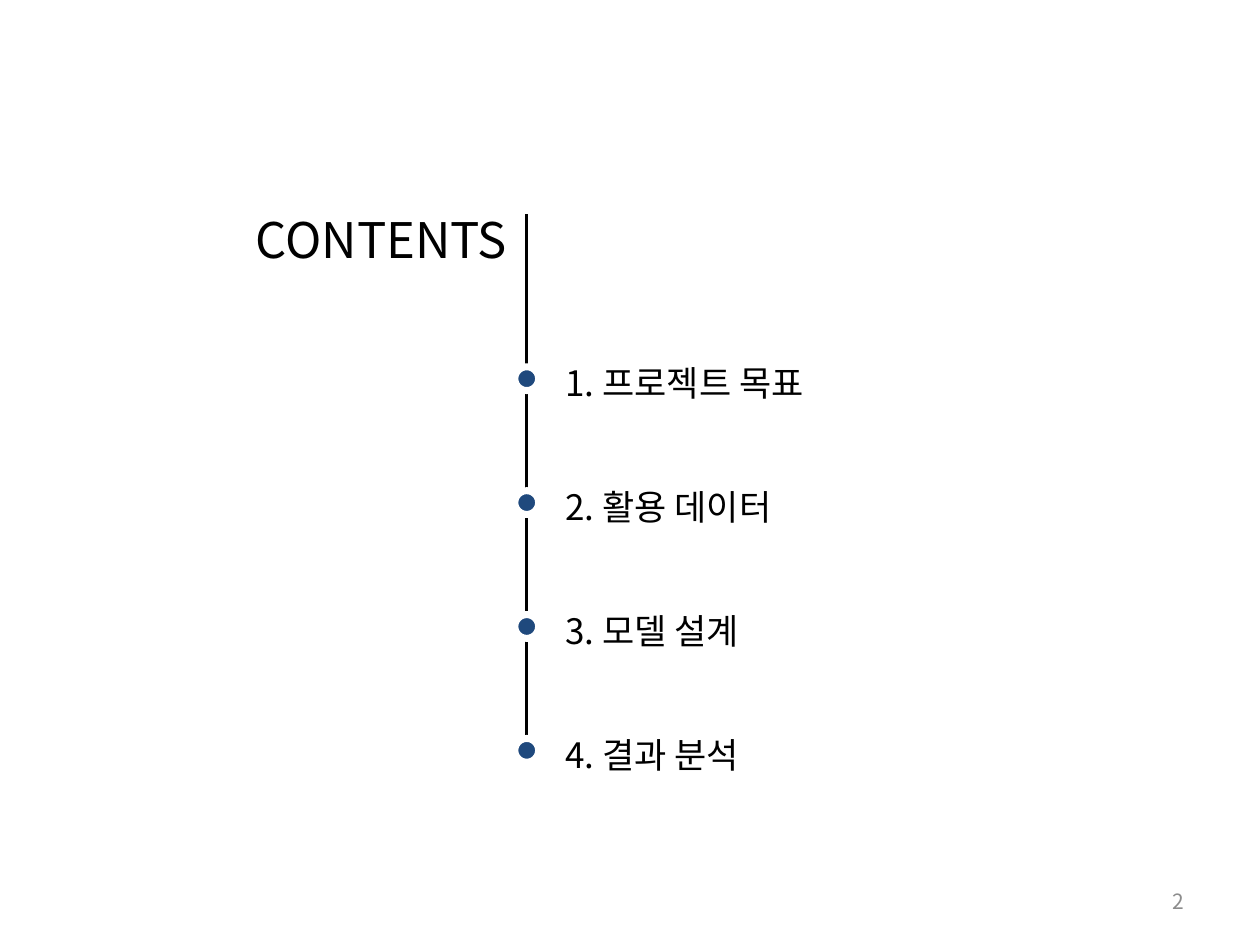
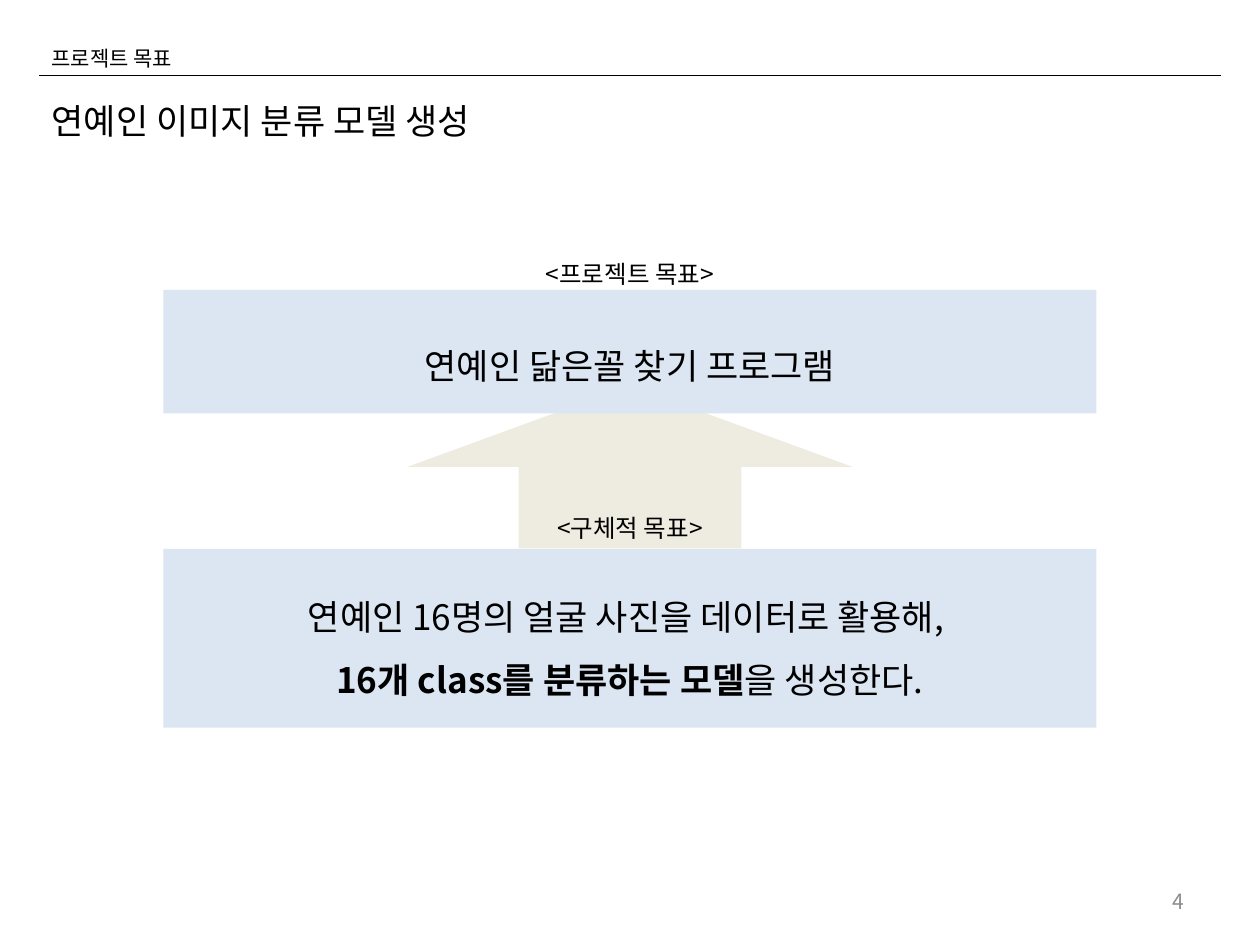
from lxml.etree import SubElement
from pptx import Presentation
from pptx.dml.color import RGBColor
from pptx.enum.shapes import MSO_CONNECTOR, MSO_SHAPE
from pptx.enum.text import MSO_ANCHOR, MSO_AUTO_SIZE, PP_ALIGN
from pptx.oxml.ns import qn
from pptx.util import Pt

FONT = "Noto Sans CJK KR"
BLACK = RGBColor(0x00, 0x00, 0x00)
WHITE = RGBColor(0xFF, 0xFF, 0xFF)
GRAY = RGBColor(0x8C, 0x8C, 0x8C)
NAVY = RGBColor(0x1F, 0x49, 0x7D)
PALE_BLUE = RGBColor(0xDC, 0xE6, 0xF2)
BEIGE = RGBColor(0xEE, 0xEC, 0xE1)


def write(shape, box, lines, size, spacing=1.14, align=PP_ALIGN.LEFT,
          color=BLACK, anchor=MSO_ANCHOR.TOP):
    """Place a text shape; each line is a list of (text, bold) runs."""
    for name, value in zip(("left", "top", "width", "height"), box):
        setattr(shape, name, Pt(value))
    frame = shape.text_frame
    frame_format = {"word_wrap": True, "auto_size": MSO_AUTO_SIZE.NONE,
                    "vertical_anchor": anchor}
    for name, value in frame_format.items():
        setattr(frame, name, value)
    for index, line in enumerate(lines):
        paragraph = frame.add_paragraph() if index else frame.paragraphs[0]
        paragraph.alignment = align
        paragraph.line_spacing = spacing
        for text, bold in line:
            run = paragraph.add_run()
            run.text = text
            for name, value in {"name": FONT, "size": Pt(size), "bold": bold}.items():
                setattr(run.font, name, value)
            run.font.color.rgb = color
            east_asian = SubElement(run.font._element, qn("a:ea"))
            east_asian.set("typeface", FONT)


def draw(slide, kind, box, fill):
    shape = slide.shapes.add_shape(kind, *map(Pt, box))
    shape.shadow.inherit = False
    shape.fill.solid()
    shape.fill.fore_color.rgb = fill
    shape.line.fill.background()
    return shape


presentation = Presentation()
presentation.slide_width = Pt(720)
presentation.slide_height = Pt(540)
title_only = presentation.slide_layouts[5]
contents = presentation.slides.add_slide(title_only)
goal = presentation.slides.add_slide(title_only)

# Titles, rules and page numbers
titles = [
    (contents, "CONTENTS", (139, 99.4, 170.6, 54), 28, 1.5),
    (goal, "연예인 이미지 분류 모델 생성", (22.3, 49.7, 605.5, 33), 20, 1.14),
]
for slide, text, box, size, spacing in titles:
    write(slide.shapes.title, box, [[(text, False)]], size, spacing)

rules = [(contents, (301, 122.4, 301, 436.3), 1.5), (goal, (22.3, 43.2, 697.7, 43.2), 0.75)]
for slide, ends, width in rules:
    rule = slide.shapes.add_connector(MSO_CONNECTOR.STRAIGHT, *map(Pt, ends))
    rule.line.color.rgb = BLACK
    rule.line.width = Pt(width)
    SubElement(rule._element.spPr, qn("a:effectLst"))

for slide, number in ((contents, "2"), (goal, "4")):
    write(slide.shapes.add_textbox(0, 0, 0, 0), (516.2, 500.4, 167.8, 28.8),
          [[(number, False)]], 12, 1.0, PP_ALIGN.RIGHT, GRAY, MSO_ANCHOR.MIDDLE)

# Contents: one dot and one entry per chapter along the line
chapters = ["1. 프로젝트 목표", "2. 활용 데이터", "3. 모델 설계", "4. 결과 분석"]
for index, chapter in enumerate(chapters):
    dot_top = 209.6 + 70.8 * index
    dot = draw(contents, MSO_SHAPE.OVAL, (294.2, dot_top, 13.6, 13.6), NAVY)
    dot.line.color.rgb = WHITE
    dot.line.width = Pt(4)
    write(contents.shapes.add_textbox(0, 0, 0, 0), (316, dot_top - 10, 265.7, 34),
          [[(chapter, False)]], 20)

# Project goal: the concrete goal leads up to the overall one
write(goal.shapes.add_textbox(0, 0, 0, 0), (22.3, 20.2, 174.2, 22.3),
      [[("프로젝트 목표", False)]], 12)
draw(goal, MSO_SHAPE.UP_ARROW, (232.8, 220.3, 254.4, 93), BEIGE)

panels = [
    # panel top and height, text top and height, label top, label, lines
    (165.6, 70.6, 181.4, 39.6, 136.1, "<프로젝트 목표>",
     [[("연예인 닮은꼴 찾기 프로그램", False)]]),
    (313.6, 102.2, 324.7, 75.6, 281.5, "<구체적 목표>",
     [[("연예인 16명의 얼굴 사진을 데이터로 활용해, ", False)],
      [("16개 class를 분류하는 모델", True), ("을 생성한다.", False)]]),
]
for top, height, text_top, text_height, label_top, label, lines in panels:
    draw(goal, MSO_SHAPE.RECTANGLE, (93.4, top, 533.2, height), PALE_BLUE)
    write(goal.shapes.add_textbox(0, 0, 0, 0), (70, text_top, 580, text_height),
          lines, 20, 1.5, PP_ALIGN.CENTER)
    write(goal.shapes.add_textbox(0, 0, 0, 0), (93.4, label_top, 533.2, 31),
          [[(label, False)]], 14, 1.5, PP_ALIGN.CENTER)

presentation.save("out.pptx")
